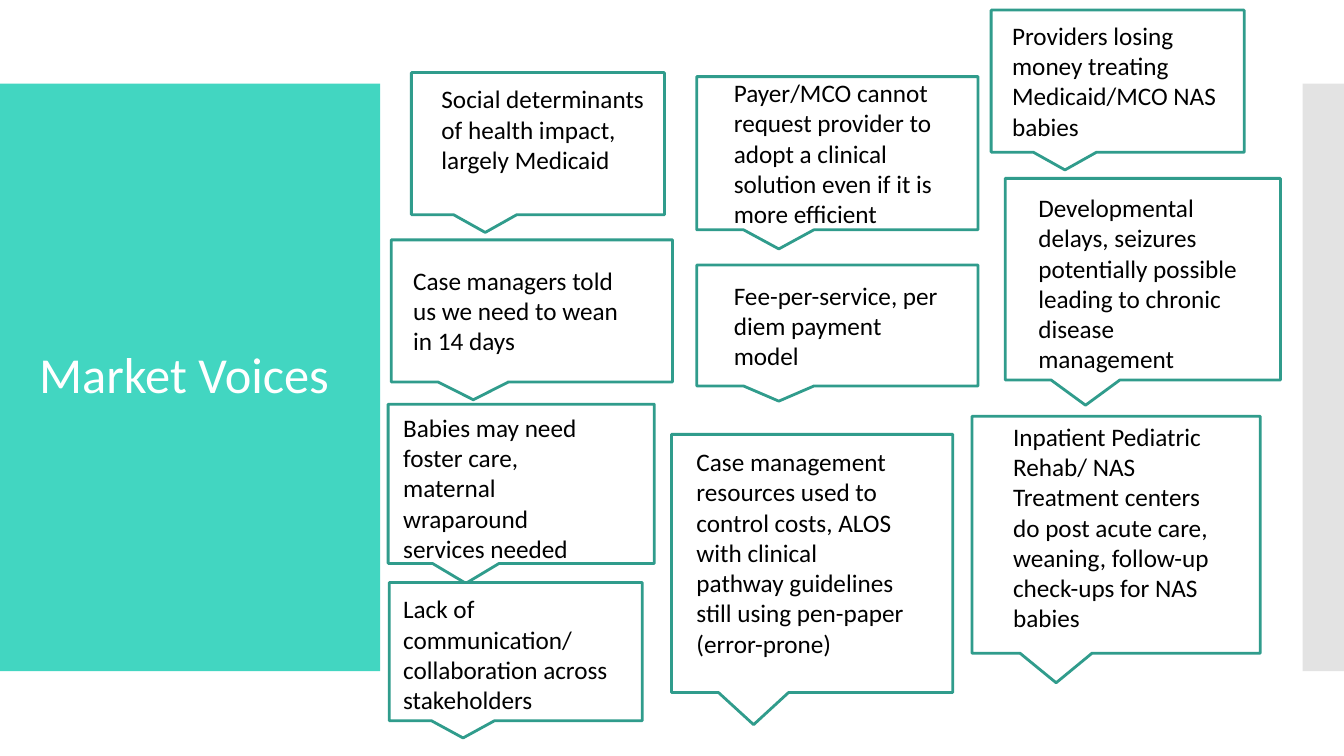
from dataclasses import dataclass

from lxml.etree import SubElement
from pptx import Presentation
from pptx.dml.color import RGBColor
from pptx.enum.shapes import MSO_SHAPE
from pptx.enum.text import MSO_ANCHOR
from pptx.oxml.ns import qn
from pptx.shapes.autoshape import Shape
from pptx.slide import Slide
from pptx.util import Inches, Pt

COLORS = {
    "panel": "42D6C1",
    "side_bar": "C8C8C8",
    "outline": "309C8C",
    "white": "FFFFFF",
    "black": "000000",
}
FONT = "Calibri"
POINTER = (-0.208, 0.625)


@dataclass(frozen=True)
class Area:
    left: float
    top: float
    width: float
    height: float

    def lengths(self) -> tuple[int, ...]:
        return tuple(Inches(v) for v in (self.left, self.top, self.width, self.height))


@dataclass(frozen=True)
class Voice:
    bubble: Area
    words: Area
    paragraphs: tuple[str, ...]


VOICES = (
    Voice(Area(4.08, 0.72, 2.51, 1.41), Area(4.28, 0.78, 2.22, 1.31),
          ("Social determinants of health impact, largely Medicaid",)),
    Voice(Area(6.66, 4.31, 2.79, 2.56), Area(6.81, 4.38, 2.27, 2.22),
          ("Case management resources used to control costs, ALOS",
           "with clinical pathway guidelines still using pen-paper (error-prone)")),
    Voice(Area(3.88, 2.38, 2.79, 1.41), Area(4, 2.58, 2.27, 1.01),
          ("Case managers told us we need to wean in 14 days",)),
    Voice(Area(9.64, 4.13, 2.86, 2.35), Area(9.95, 4.13, 2.27, 2.22),
          ("Inpatient Pediatric Rehab/ NAS Treatment centers do post acute care, "
           "weaning, follow-up check-ups for NAS babies",)),
    Voice(Area(6.91, 0.76, 2.79, 1.52), Area(7.18, 0.72, 2.27, 1.62),
          ("Payer/MCO cannot request provider to adopt a clinical solution "
           "even if it is more efficient",)),
    Voice(Area(6.91, 2.63, 2.79, 1.2), Area(7.18, 2.73, 2.27, 1.01),
          ("Fee-per-service, per diem payment model",)),
    Voice(Area(9.97, 1.77, 2.73, 2), Area(10.2, 1.86, 2.27, 1.92),
          ("Developmental delays, seizures potentially possible leading to "
           "chronic disease management",)),
    Voice(Area(3.85, 4.01, 2.64, 1.58), Area(3.9, 4.04, 2.22, 1.62),
          ("Babies may need foster care, maternal wraparound services needed",)),
    Voice(Area(3.86, 5.78, 2.51, 1.37), Area(3.9, 5.84, 2.47, 1.31),
          ("Lack of communication/", "collaboration across stakeholders")),
    Voice(Area(9.83, 0.1, 2.51, 1.41), Area(9.94, 0.15, 2.27, 1.31),
          ("Providers losing money treating Medicaid/MCO NAS babies",)),
)


def add_filled_shape(page: Slide, kind: MSO_SHAPE, area: Area, color: str) -> Shape:
    shape = page.shapes.add_shape(kind, *area.lengths())
    shape.shadow.inherit = False
    shape.fill.solid()
    shape.fill.fore_color.rgb = RGBColor.from_string(COLORS[color])
    shape.line.fill.background()
    return shape


def add_text(page: Slide, area: Area, paragraphs: tuple[str, ...], size: float,
             color: str, anchor: MSO_ANCHOR = MSO_ANCHOR.TOP,
             line_spacing: float = 1.0) -> None:
    box = page.shapes.add_textbox(*area.lengths())
    frame = box.text_frame
    frame.word_wrap = True
    frame.vertical_anchor = anchor
    for index, words in enumerate(paragraphs):
        para = frame.add_paragraph() if index else frame.paragraphs[0]
        para.line_spacing = line_spacing
        span = para.add_run()
        span.text = words
        span.font.name = FONT
        span.font.size = Pt(size)
        span.font.color.rgb = RGBColor.from_string(COLORS[color])


def add_voice(page: Slide, voice: Voice) -> None:
    """Draw a speech bubble with its words in a box over it."""
    bubble = add_filled_shape(page, MSO_SHAPE.RECTANGULAR_CALLOUT, voice.bubble, "white")
    for index, offset in enumerate(POINTER):
        bubble.adjustments[index] = offset
    bubble.line.color.rgb = RGBColor.from_string(COLORS["outline"])
    bubble.line.width = Pt(2)
    add_text(page, voice.words, voice.paragraphs, 18, "black")


def main() -> None:
    deck = Presentation()
    deck.slide_width = Inches(13.33)
    deck.slide_height = Inches(7.5)
    page = deck.slides.add_slide(deck.slide_layouts[6])

    add_filled_shape(page, MSO_SHAPE.RECTANGLE, Area(0, 0.83, 3.77, 5.83), "panel")
    side_bar = add_filled_shape(
        page, MSO_SHAPE.RECTANGLE, Area(12.92, 0.83, 0.41, 5.83), "side_bar")
    side_color = side_bar.fill._xPr.find(qn("a:solidFill")).find(qn("a:srgbClr"))
    SubElement(side_color, qn("a:alpha"), val="50000")

    add_text(page, Area(0.29, 1.23, 3.22, 5.03), ("Market Voices",), 36, "white",
             MSO_ANCHOR.MIDDLE, 0.9)
    for voice in VOICES:
        add_voice(page, voice)

    deck.save("out.pptx")


if __name__ == "__main__":
    main()
